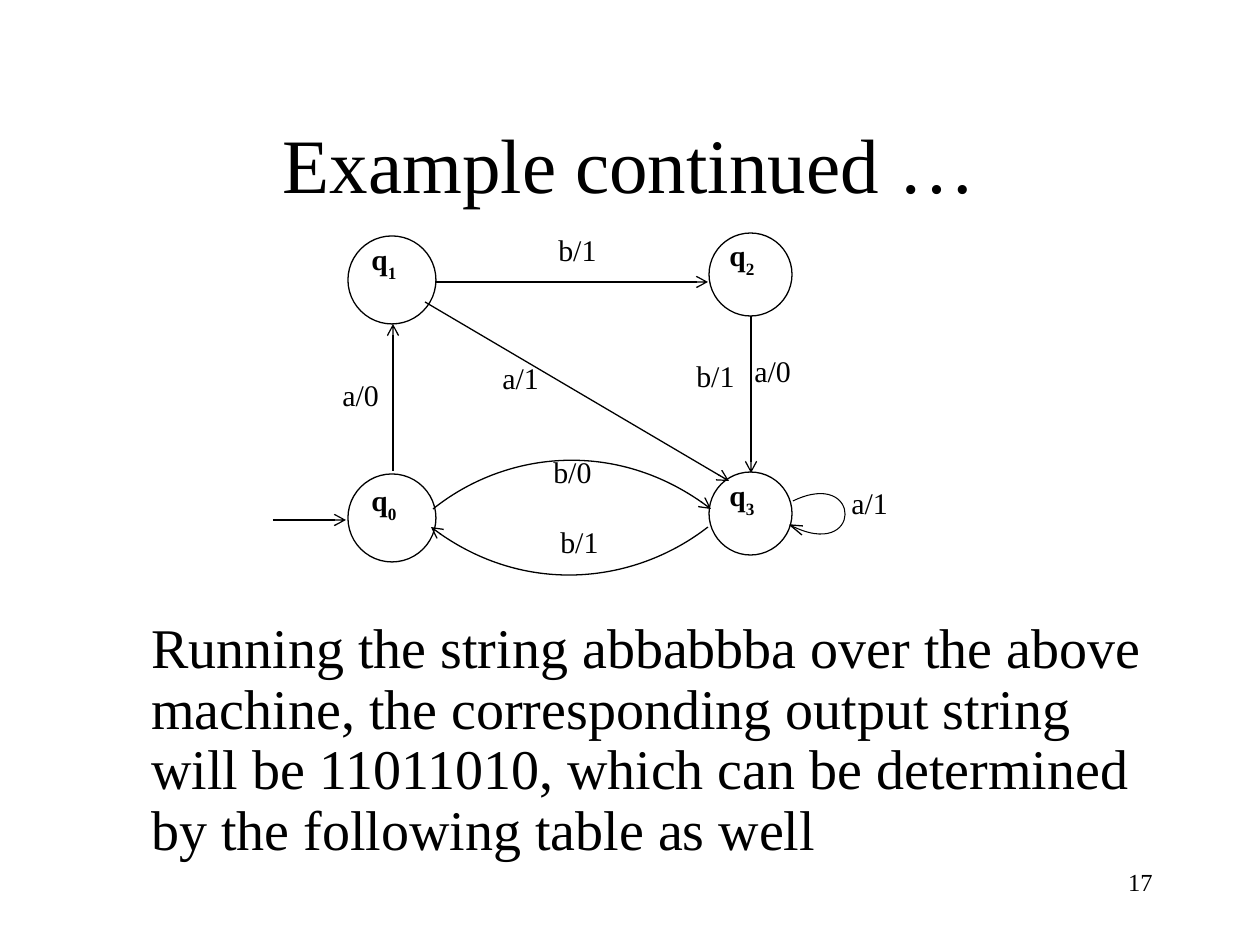
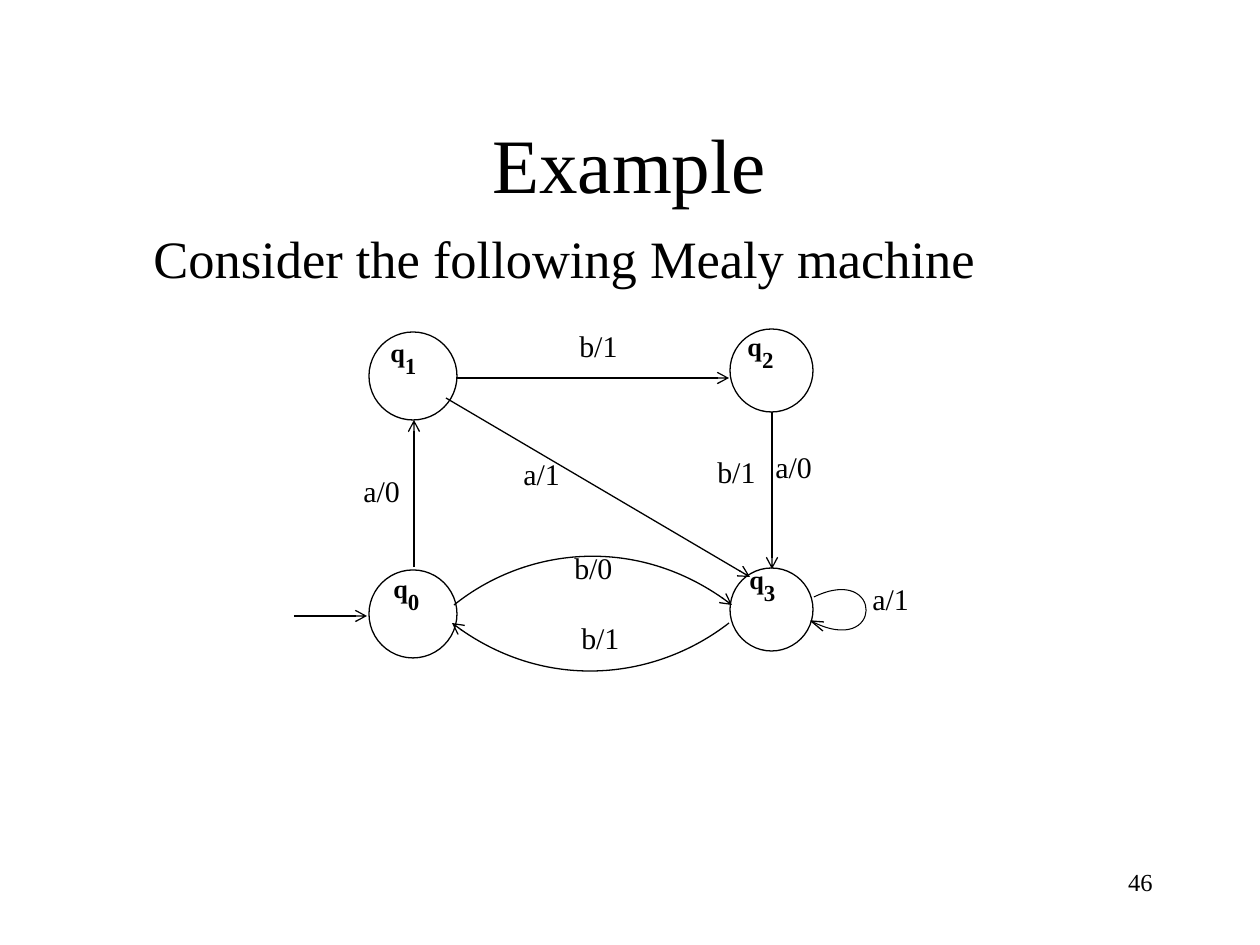
from pptx import Presentation
from pptx.dml.color import RGBColor
from pptx.enum.shapes import MSO_CONNECTOR, MSO_SHAPE
from pptx.enum.text import MSO_ANCHOR, PP_ALIGN
from pptx.oxml.ns import qn
from pptx.oxml.xmlchemy import OxmlElement
from pptx.util import Pt

PX = 914400 / 126
OVAL, STRAIGHT = MSO_SHAPE.OVAL, MSO_CONNECTOR.STRAIGHT
LEFT, CENTER, RIGHT = PP_ALIGN.LEFT, PP_ALIGN.CENTER, PP_ALIGN.RIGHT
TOP, MIDDLE = MSO_ANCHOR.TOP, MSO_ANCHOR.MIDDLE
COLORS = {"ink": "000000", "paper": "FFFFFF"}
FONT = "Times New Roman"

# Content: the Mealy machine, in px; each slide shifts it as a whole
STATES = {  # left, top, diameter
    "0": (348, 474, 88),
    "1": (348, 236, 88),
    "2": (709, 233, 83),
    "3": (709, 472, 83),
}
ARROWS = [  # from, to
    ((436, 282), (708, 282)),
    ((751, 316), (751, 473)),
    ((393, 471), (393, 324)),
    ((425, 302), (729, 481)),
    ((273, 520), (346, 520)),
]
ARCS = [  # start, two control points, end
    ((708, 527), (636, 583), (522, 597), (431, 527)),
    ((433, 509), (504, 452), (619, 438), (711, 509)),
]
LOOP = ((793, 501), (863, 467), (863, 563), (790, 525))
LOOP_HEAD = ((802, 535), (790, 525), (803, 526))
EDGE_LABELS = [
    ("a/0", 330, 377), ("b/1", 548, 524), ("a/1", 490, 360), ("a/0", 742, 353),
    ("a/1", 839, 485), ("b/0", 541, 454), ("b/1", 684, 358), ("b/1", 546, 232),
]

SLIDES = [
    {
        "title": "Example continued …",
        "number": "17",
        "body": "Running the string abbabbba over the above machine, the corresponding "
                "output string will be 11011010, which can be determined by the "
                "following table as well",
        "body_box": (139, 614, 1024, 268), "body_size": 32, "body_spacing": 0.9,
        "shift": (0, 0),
        "name_sizes": (16.8, 16.8),
        "names": {"0": (359, 479), "1": (359, 238), "2": (717, 234), "3": (717, 474)},
    },
    {
        "title": "Example",
        "number": "46",
        "body": "Consider the following Mealy machine",
        "body_box": (141, 220, 1024, 80), "body_size": 30, "body_spacing": 1.0,
        "shift": (21, 96),
        "name_sizes": (15, 22.5),
        "names": {"0": (381, 557), "1": (378, 321), "2": (735, 315), "3": (737, 548)},
    },
]


def px(*lengths):
    return [round(length * PX) for length in lengths]


def color(name):
    return RGBColor.from_string(COLORS[name])


def add_text(slide, text, box, size, align=LEFT, anchor=TOP, spacing=1.0):
    frame = slide.shapes.add_textbox(*px(*box)).text_frame
    frame.word_wrap = True
    frame.vertical_anchor = anchor
    paragraph = frame.paragraphs[0]
    paragraph.text = text
    paragraph.alignment = align
    paragraph.line_spacing = spacing
    paragraph.font.name = FONT
    paragraph.font.size = Pt(size)
    paragraph.font.color.rgb = color("ink")
    return paragraph


def style_line(line, width=0.75, arrow=False):
    line.color.rgb = color("ink")
    line.width = Pt(width)
    if arrow:
        tail = OxmlElement("a:tailEnd")
        tail.set("type", "arrow")
        line._get_or_add_ln().append(tail)


def add_outline(slide, points, curved=False, **line_style):
    """Open outline; with curved, its four points form one Bezier curve."""
    builder = slide.shapes.build_freeform(*points[0], scale=PX)
    builder.add_line_segments(points[1:], close=False)
    outline = builder.convert_to_shape()
    outline.shadow.inherit = False
    outline.fill.background()
    style_line(outline.line, **line_style)
    if curved:
        path = outline._element.find(".//" + qn("a:path"))
        curve = OxmlElement("a:cubicBezTo")
        for segment in path.findall(qn("a:lnTo")):
            curve.append(segment[0])
            path.remove(segment)
        path.append(curve)


def add_arrow(slide, start, end):
    arrow = slide.shapes.add_connector(STRAIGHT, *px(*start, *end))
    style_line(arrow.line, arrow=True)
    arrow._element.spPr.append(OxmlElement("a:effectLst"))


def add_machine(slide, shift, names, name_sizes):
    dx, dy = shift

    def moved(points):
        return [(x + dx, y + dy) for x, y in points]

    # States
    for left, top, diameter in STATES.values():
        circle = slide.shapes.add_shape(
            OVAL, *px(left + dx, top + dy, diameter, diameter))
        circle.shadow.inherit = False
        circle.fill.solid()
        circle.fill.fore_color.rgb = color("paper")
        style_line(circle.line)

    # Transitions
    for start, end in ARROWS:
        add_arrow(slide, *moved((start, end)))
    for arc in ARCS:
        add_outline(slide, moved(arc), curved=True, arrow=True)
    add_outline(slide, moved(LOOP), curved=True, width=0.6)
    add_outline(slide, moved(LOOP_HEAD))

    # Labels
    for label, x, y in EDGE_LABELS:
        add_text(slide, label, (x + dx, y + dy, 127, 52), 17.1, spacing=0.8)
    letter_size, index_size = name_sizes
    for index, (x, y) in names.items():
        name = add_text(slide, "q", (x, y, 121, 57), letter_size, spacing=0.8)
        name.font.bold = True
        subscript = name.add_run()
        subscript.text = index
        if index_size != letter_size:
            subscript.font.size = Pt(index_size)
        subscript.font._element.set("baseline", "-30000")


def main():
    prs = Presentation()
    prs.slide_width, prs.slide_height = px(1260, 945)
    for content in SLIDES:
        slide = prs.slides.add_slide(prs.slide_layouts[6])
        add_text(slide, content["number"], (903, 861, 262, 63), 14, RIGHT)
        add_text(slide, content["title"], (94, 84, 1071, 158), 44, CENTER, MIDDLE)
        add_text(slide, content["body"], content["body_box"], content["body_size"],
                 spacing=content["body_spacing"])
        add_machine(slide, content["shift"], content["names"], content["name_sizes"])
    prs.save("out.pptx")


if __name__ == "__main__":
    main()
